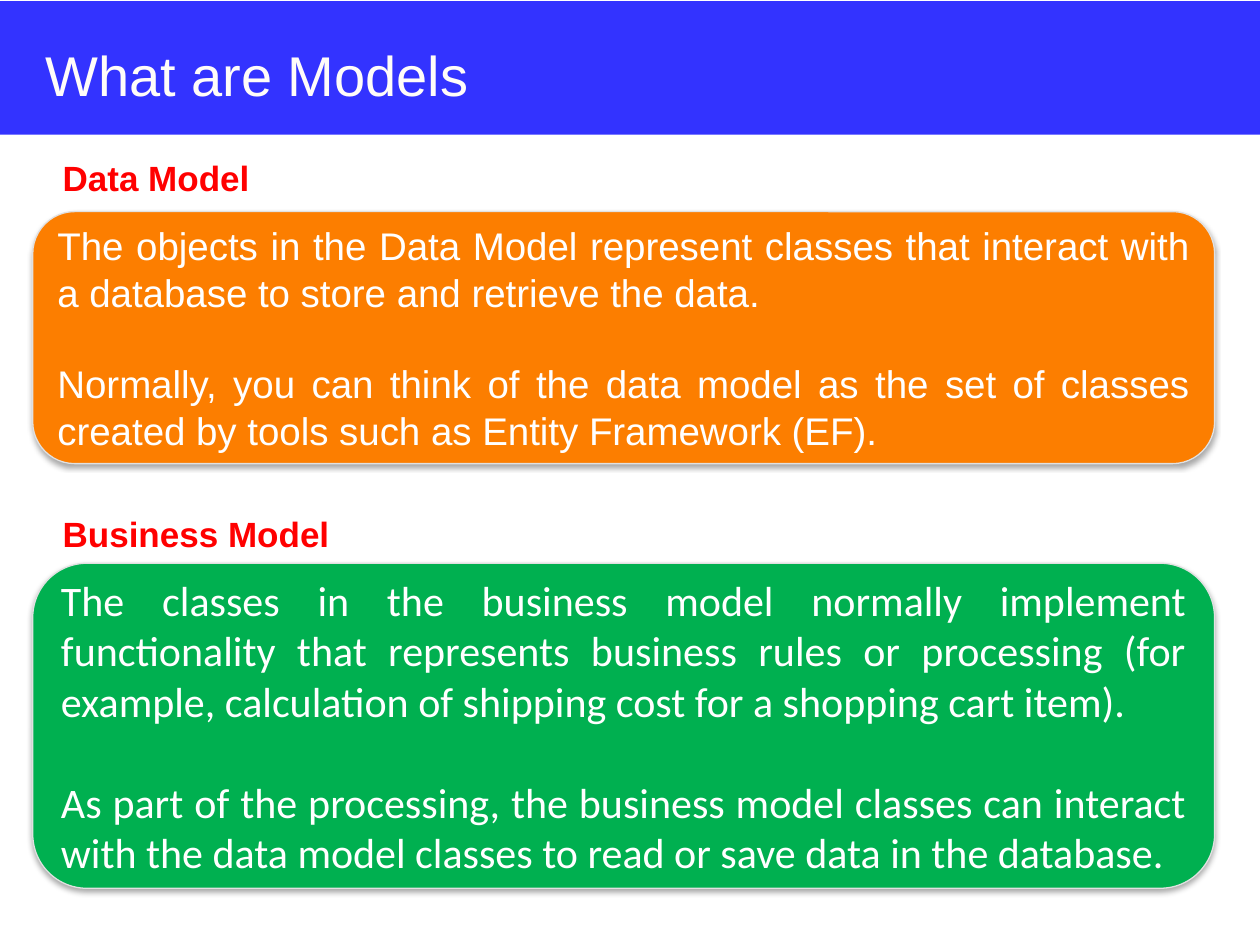
import pptx
import pptx.util
import pptx.dml.color
import pptx.enum.shapes
import pptx.enum.text
import pptx.oxml
import pptx.oxml.ns
from dataclasses import dataclass

Pt = pptx.util.Pt
Align = pptx.enum.text.PP_ALIGN
Anchor = pptx.enum.text.MSO_ANCHOR
Shape = pptx.enum.shapes.MSO_SHAPE


@dataclass(frozen=True)
class Theme:
    band: str = "3333FF"
    title: str = "FFFCF9"
    head: str = "FF0000"
    body: str = "FFFFFF"
    edge: str = "E1E1E1"
    data: str = "FC7E00"
    trade: str = "00B050"
    title_size: int = 32
    head_size: int = 20
    data_size: int = 22
    trade_size: int = 24
    sans: str = "Arial"
    soft: str = "Calibri"


THEME = Theme()

SHADOW = (
    '<a:effectLst %s><a:outerShdw blurRad="%d" dist="%d" dir="5400000" rotWithShape="0">'
    '<a:srgbClr val="000000"><a:alpha val="35000"/></a:srgbClr>'
    '</a:outerShdw></a:effectLst>'
    % (pptx.oxml.ns.nsdecls("a"), Pt(3.1), Pt(1.8))
)


def rgb(code):
    return pptx.dml.color.RGBColor.from_string(code)


def style(para, face, size, color, bold=False):
    for run in para.runs:
        font = run.font
        font.name, font.size, font.bold = face, Pt(size), bold
        font.color.rgb = rgb(color)


def block(slide, kind, box, fill):
    shape = slide.shapes.add_shape(kind, *map(Pt, box))
    shape.shadow.inherit = False
    shape.fill.solid()
    shape.fill.fore_color.rgb = rgb(fill)
    return shape


def header(slide, box, text):
    left, top, width, height = box
    # Band behind the title
    band = block(slide, Shape.RECTANGLE, box, THEME.band)
    band.line.fill.background()
    slide.shapes._spTree.insert(2, band._element)

    # Title
    title = slide.shapes.title
    title.left, title.top = Pt(left + 18.72), Pt(top + 19.5)
    title.width, title.height = Pt(width - 32.4), Pt(44.64)
    frame = title.text_frame
    frame.text = text
    frame.vertical_anchor = Anchor.MIDDLE
    frame.paragraphs[0].alignment = Align.LEFT
    style(frame.paragraphs[0], THEME.sans, THEME.title_size, THEME.title)


def section(slide, box, offset, head, texts, fill, face, size, gap):
    left, top, width, height = box
    # Heading
    label = slide.shapes.add_textbox(Pt(left + 10), Pt(top), Pt(360), Pt(31.5))
    label.text_frame.word_wrap = True
    label.text_frame.text = head
    style(label.text_frame.paragraphs[0], THEME.sans, THEME.head_size, THEME.head, True)

    # Rounded panel
    panel = block(slide, Shape.ROUNDED_RECTANGLE,
                  (left, top + offset, width, height - offset), fill)
    panel.line.color.rgb = rgb(THEME.edge)
    panel.line.width = Pt(0.75)
    props = panel._element.spPr
    props.remove(props.find(pptx.oxml.ns.qn("a:effectLst")))
    props.append(pptx.oxml.parse_xml(SHADOW))

    # Panel text
    frame = panel.text_frame
    frame.word_wrap = True
    frame.vertical_anchor = Anchor.MIDDLE
    frame.text = "\n".join(texts)
    for i, para in enumerate(frame.paragraphs):
        para.alignment = Align.JUSTIFY
        if i:
            para.space_before = Pt(gap)
        style(para, face, size, THEME.body)


def main():
    deck = pptx.Presentation()
    deck.slide_width, deck.slide_height = Pt(720), Pt(540)
    slide = deck.slides.add_slide(deck.slide_layouts[5])

    header(slide, (0, 0.72, 720, 76.32), "What are Models")
    section(
        slide, (18.72, 85.68, 675.36, 179.28), 35.28, "Data Model",
        ["The objects in the Data Model represent classes that interact with "
         "a database to store and retrieve the data.",
         "Normally, you can think of the data model as the set of classes "
         "created by tools such as Entity Framework (EF)."],
        THEME.data, THEME.sans, THEME.data_size, 26)
    section(
        slide, (18.72, 289.44, 675.36, 218.16), 32.4, "Business Model",
        ["The classes in the business model normally implement functionality "
         "that represents business rules or processing (for example, "
         "calculation of shipping cost for a shopping cart item).",
         "As part of the processing, the business model classes can interact "
         "with the data model classes to read or save data in the database."],
        THEME.trade, THEME.soft, THEME.trade_size, 29)

    deck.save("out.pptx")


if __name__ == "__main__":
    main()
